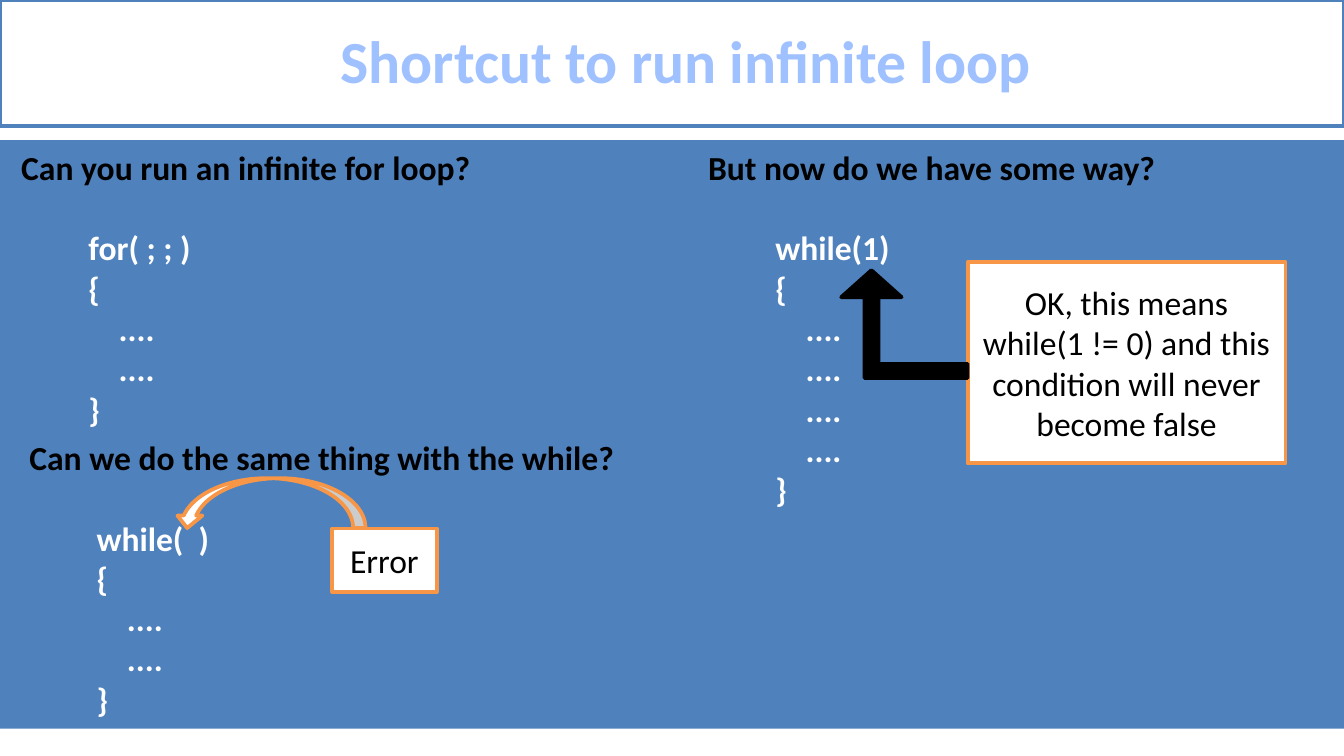
from dataclasses import dataclass

from pptx import Presentation
from pptx.dml.color import RGBColor
from pptx.enum.shapes import MSO_SHAPE as Preset
from pptx.enum.text import MSO_ANCHOR as Anchor, MSO_AUTO_SIZE as AutoSize, PP_ALIGN as Align
from pptx.util import Emu, Inches, Pt

COLORS = {
    "blue": "4F81BD",
    "title": "A0C1FF",
    "orange": "F79646",
    "white": "FFFFFF",
    "black": "000000",
}
FONT = "Calibri"
BODY_SIZE = 18
CODE_INDENT = Inches(0.5)
CODE_GAP = Pt(21.5)

deck = Presentation()
deck.slide_width = Inches(10)
deck.slide_height = Emu(deck.slide_width * 9 // 16)


@dataclass(frozen=True)
class Area:
    left: float
    top: float
    width: float
    height: float

    def emu(self) -> tuple[Emu, ...]:
        sizes = (deck.slide_width, deck.slide_height) * 2
        shares = (self.left, self.top, self.width, self.height)
        return tuple(Emu(round(size * share / 100)) for size, share in zip(sizes, shares))


@dataclass(frozen=True)
class Example:
    area: Area
    question: str
    code: tuple[str, ...]


@dataclass(frozen=True)
class Figure:
    area: Area
    preset: Preset
    fill: str
    line: str | None = None
    lines: tuple[str, ...] = ()
    flipped: bool = False
    adjustments: tuple[float, ...] = ()


PANEL = Figure(Area(0, 18.55, 100, 77.85), Preset.RECTANGLE, "blue")
TITLE_AREA = Area(0, 0, 100, 16.67)

EXAMPLES = (
    Example(Area(1.2, 56.94, 49.9, 39.5), "Can we do the same thing with the while?",
            ("while(  )", "{", *["    ...."] * 2, "}")),
    Example(Area(0.6, 18.55, 42, 39.5), "Can you run an infinite for loop?",
            ("for( ; ; )", "{", *["    ...."] * 2, "}")),
    Example(Area(51.7, 18.55, 38.2, 50.4), "But now do we have some way?",
            ("while(1)", "{", *["    ...."] * 4, "}")),
)

FIGURES = (
    Figure(Area(24.7, 69.93, 7.8, 8.4), Preset.RECTANGLE, "white", "orange", ("Error",)),
    Figure(Area(13, 63.25, 14.2, 6.6), Preset.CURVED_DOWN_ARROW, "white", "orange",
           flipped=True),
    Figure(Area(72, 34.65, 23.65, 26.65), Preset.RECTANGLE, "white", "orange",
           ("OK, this means while(1 != 0) and this", "condition will never become false")),
    Figure(Area(62.6, 35.75, 9.4, 14.25), Preset.BENT_UP_ARROW, "black", "black",
           flipped=True, adjustments=(0.13, 0.28, 0.25)),
)


def rgb(name: str) -> RGBColor:
    return RGBColor.from_string(COLORS[name])


def style(paragraph, color: str, size: int = BODY_SIZE, bold: bool = False) -> None:
    for run in paragraph.runs:
        run.font.name = FONT
        run.font.size = Pt(size)
        run.font.bold = bold
        run.font.color.rgb = rgb(color)


def paint(shape, fill: str, line: str | None) -> None:
    shape.fill.solid()
    shape.fill.fore_color.rgb = rgb(fill)
    if line:
        shape.line.color.rgb = rgb(line)
        shape.line.width = Pt(2)
    else:
        shape.line.fill.background()


def draw_title(slide, text: str) -> None:
    heading = slide.shapes.title
    heading.left, heading.top, heading.width, heading.height = TITLE_AREA.emu()
    paint(heading, "white", "blue")
    frame = heading.text_frame
    frame.text = text
    frame.auto_size = AutoSize.NONE
    frame.vertical_anchor = Anchor.MIDDLE
    paragraph = frame.paragraphs[0]
    paragraph.alignment = Align.CENTER
    paragraph.line_spacing = 0.96
    paragraph._p.get_or_add_pPr().set("marL", str(Inches(0.21)))
    style(paragraph, "title", 32, True)


def draw_example(slide, example: Example) -> None:
    frame = slide.shapes.add_textbox(*example.area.emu()).text_frame
    frame.word_wrap = True
    frame.text = "\n".join((example.question, *example.code))
    question, *code = frame.paragraphs
    style(question, "black", bold=True)
    for paragraph in code:
        paragraph.level = 1
        paragraph._p.get_or_add_pPr().set("marL", str(CODE_INDENT))
        style(paragraph, "white", bold=True)
    code[0].space_before = CODE_GAP


def draw_figure(slide, figure: Figure) -> None:
    shape = slide.shapes.add_shape(figure.preset, *figure.area.emu())
    shape.shadow.inherit = False
    paint(shape, figure.fill, figure.line)
    for index, value in enumerate(figure.adjustments):
        shape.adjustments[index] = value
    if figure.flipped:
        shape._element.spPr.xfrm.set("flipH", "1")
    if figure.lines:
        frame = shape.text_frame
        frame.word_wrap = True
        frame.vertical_anchor = Anchor.MIDDLE
        frame.text = "\n".join(figure.lines)
        for paragraph in frame.paragraphs:
            paragraph.alignment = Align.CENTER
            style(paragraph, "black")


def main() -> None:
    slide = deck.slides.add_slide(deck.slide_layouts.get_by_name("Title Only"))
    draw_title(slide, "Shortcut to run infinite loop")
    draw_figure(slide, PANEL)
    for example in EXAMPLES:
        draw_example(slide, example)
    for figure in FIGURES:
        draw_figure(slide, figure)
    deck.save("out.pptx")


if __name__ == "__main__":
    main()
